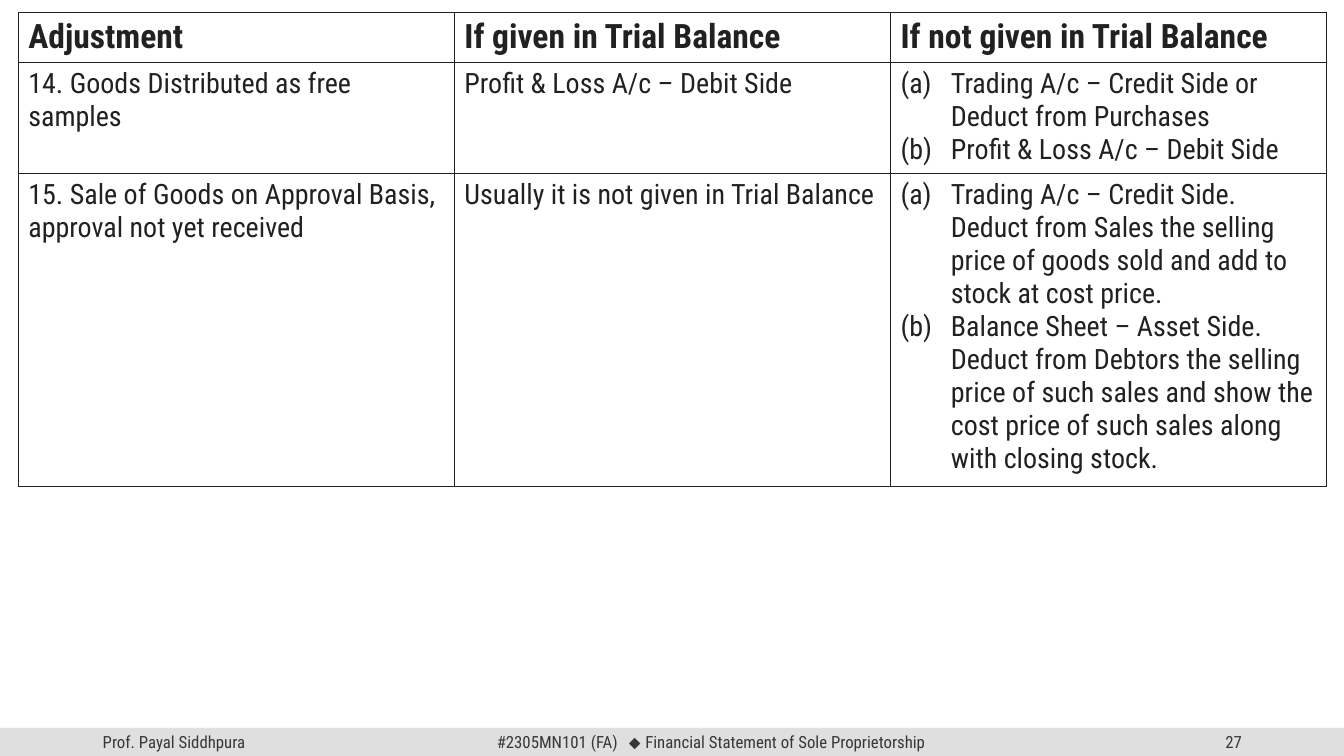
from dataclasses import dataclass

from lxml import etree
from pptx import Presentation
from pptx.dml.color import RGBColor
from pptx.enum import shapes, text
from pptx.oxml import ns
from pptx.util import Cm, Pt


@dataclass(frozen=True)
class Theme:
    font: str = "Roboto Condensed"
    symbol_font: str = "Arial"
    ink: str = "212121"
    footer_ink: str = "373737"
    footer_band: str = "DFDFDF"
    header_size: int = 24
    body_size: int = 20
    footer_size: int = 12
    border_width: int = 1


FOOTER_TOP, FOOTER_HEIGHT = 18.34, 0.71
LIST_INDENT = 1.27

ROW_HEIGHTS = [1.2, 2.7, 7.7]
# A list in a cell becomes lettered points
ADJUSTMENTS = [
    ["Adjustment", "If given in Trial Balance", "If not given in Trial Balance"],
    ["14. Goods Distributed as free samples",
     "Profit & Loss A/c – Debit Side",
     ["Trading A/c – Credit Side or Deduct from Purchases",
      "Profit & Loss A/c – Debit Side"]],
    ["15. Sale of Goods on Approval Basis, approval not yet received",
     "Usually it is not given in Trial Balance",
     ["Trading A/c – Credit Side. Deduct from Sales the selling price of goods "
      "sold and add to stock at cost price.",
      "Balance Sheet – Asset Side. Deduct from Debtors the selling price of such "
      "sales and show the cost price of such sales along with closing stock."]],
]


class SlideBuilder:
    def __init__(self, slide, theme):
        self.slide = slide
        self.theme = theme

    def style(self, font, size, color, bold=False):
        font.name = self.theme.font
        font.size = Pt(size)
        font.bold = bold
        font.color.rgb = RGBColor.from_string(color)

    def band(self, left, top, width, height):
        shape = self.slide.shapes.add_shape(
            shapes.MSO_SHAPE.RECTANGLE, Cm(left), Cm(top), Cm(width), Cm(height))
        shape.shadow.inherit = False
        shape.fill.solid()
        shape.fill.fore_color.rgb = RGBColor.from_string(self.theme.footer_band)
        shape.line.fill.background()

    def footer_text(self, left, width, alignment=text.PP_ALIGN.LEFT):
        shape = self.slide.shapes.add_textbox(
            Cm(left), Cm(FOOTER_TOP), Cm(width), Cm(FOOTER_HEIGHT))
        frame = shape.text_frame
        frame.word_wrap = True
        frame.vertical_anchor = text.MSO_ANCHOR.MIDDLE
        paragraph = frame.paragraphs[0]
        paragraph.alignment = alignment
        return frame, paragraph

    def footer_label(self, label, left, width, alignment=text.PP_ALIGN.LEFT):
        _, paragraph = self.footer_text(left, width, alignment)
        paragraph.text = label
        self.style(paragraph.font, self.theme.footer_size, self.theme.footer_ink)

    def footer_course(self, code, symbol, topic, left, width, inset, tab):
        frame, paragraph = self.footer_text(left, width)
        frame.margin_left = Cm(inset)
        tabs = etree.SubElement(paragraph._p.get_or_add_pPr(), ns.qn("a:tabLst"))
        etree.SubElement(tabs, ns.qn("a:tab"), pos=str(Cm(tab)), algn="l")
        for part in (code + "\t", symbol + " ", topic):
            run = paragraph.add_run()
            run.text = part
            self.style(run.font, self.theme.footer_size, self.theme.footer_ink)
            if part.startswith(symbol):
                run.font.name = self.theme.symbol_font

    def letter(self, paragraph):
        properties = paragraph._p.get_or_add_pPr()
        properties.set("marL", str(Cm(LIST_INDENT)))
        properties.set("indent", str(-Cm(LIST_INDENT)))
        etree.SubElement(properties, ns.qn("a:buAutoNum"), type="alphaLcParenBoth")

    def borders(self, cell):
        properties = cell._tc.get_or_add_tcPr()
        for index, side in enumerate(("lnL", "lnR", "lnT", "lnB")):
            line = etree.Element(
                ns.qn(f"a:{side}"), w=str(Pt(self.theme.border_width)))
            fill = etree.SubElement(line, ns.qn("a:solidFill"))
            etree.SubElement(fill, ns.qn("a:srgbClr"), val=self.theme.ink)
            properties.insert(index, line)

    def cell(self, cell, content, size, bold):
        cell.fill.background()
        self.borders(cell)
        lettered = isinstance(content, list)
        lines = content if lettered else [content]
        frame = cell.text_frame
        for index, line in enumerate(lines):
            paragraph = frame.add_paragraph() if index else frame.paragraphs[0]
            paragraph.text = line
            if lettered:
                self.letter(paragraph)
            self.style(paragraph.font, size, self.theme.ink, bold)

    def table(self, rows, heights, left, top, width):
        table = self.slide.shapes.add_table(
            len(rows), len(rows[0]), Cm(left), Cm(top),
            Cm(width), Cm(sum(heights))).table
        table.first_row = False
        table.horz_banding = False
        for row_index, (row, height) in enumerate(zip(rows, heights)):
            table.rows[row_index].height = Cm(height)
            header = row_index == 0
            size = self.theme.header_size if header else self.theme.body_size
            for column_index, content in enumerate(row):
                self.cell(table.cell(row_index, column_index), content, size, header)


def main():
    presentation = Presentation()
    presentation.slide_width = Cm(33.87)
    presentation.slide_height = Cm(19.05)
    slide = presentation.slides.add_slide(presentation.slide_layouts[6])
    builder = SlideBuilder(slide, Theme())

    # Footer
    builder.band(0, FOOTER_TOP, 33.87, FOOTER_HEIGHT)
    builder.footer_label("Prof. Payal Siddhpura", 2.34, 7.62)
    builder.footer_label("27", 23.93, 7.62, text.PP_ALIGN.RIGHT)
    builder.footer_course("#2305MN101 (FA)", "⬥",
                          "Financial Statement of Sole Proprietorship",
                          left=11.25, width=13.31, inset=1.27, tab=3.33)

    # Adjustments table
    builder.table(ADJUSTMENTS, ROW_HEIGHTS, left=0.46, top=0.31, width=32.97)

    presentation.save("out.pptx")


if __name__ == "__main__":
    main()
